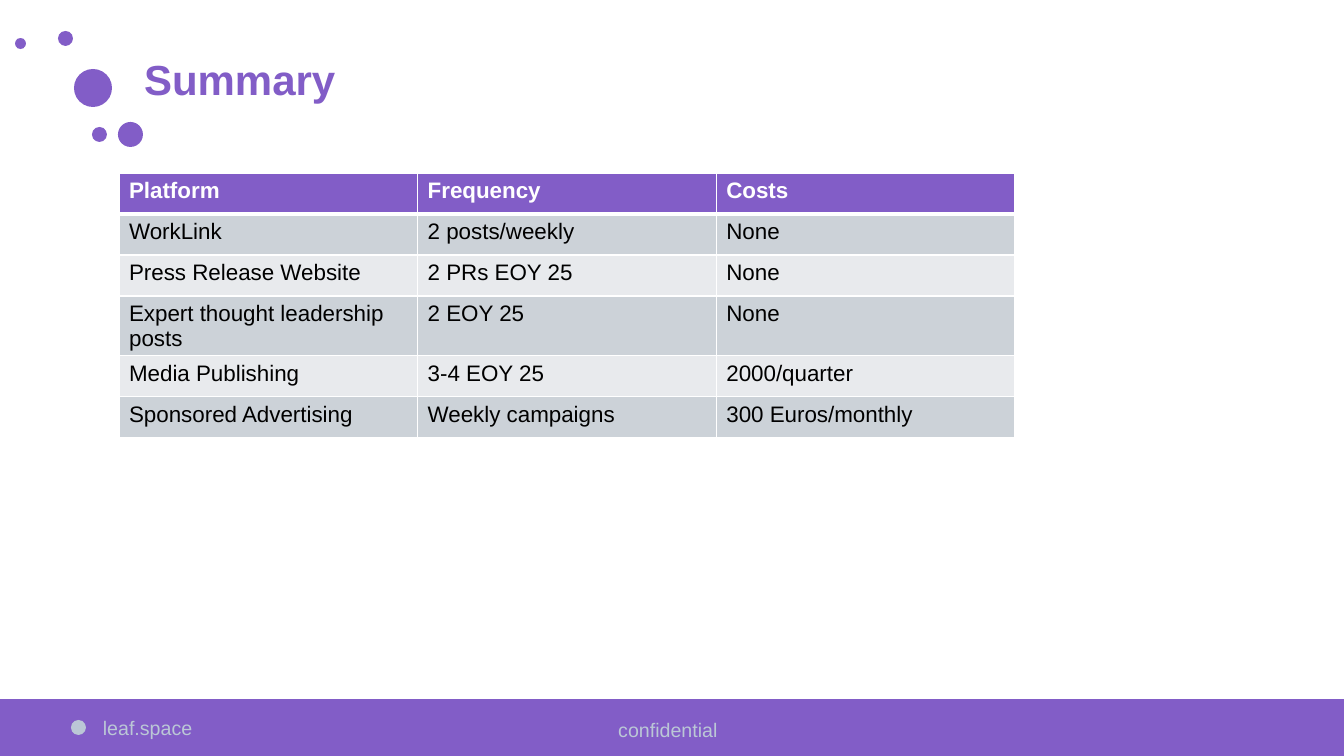
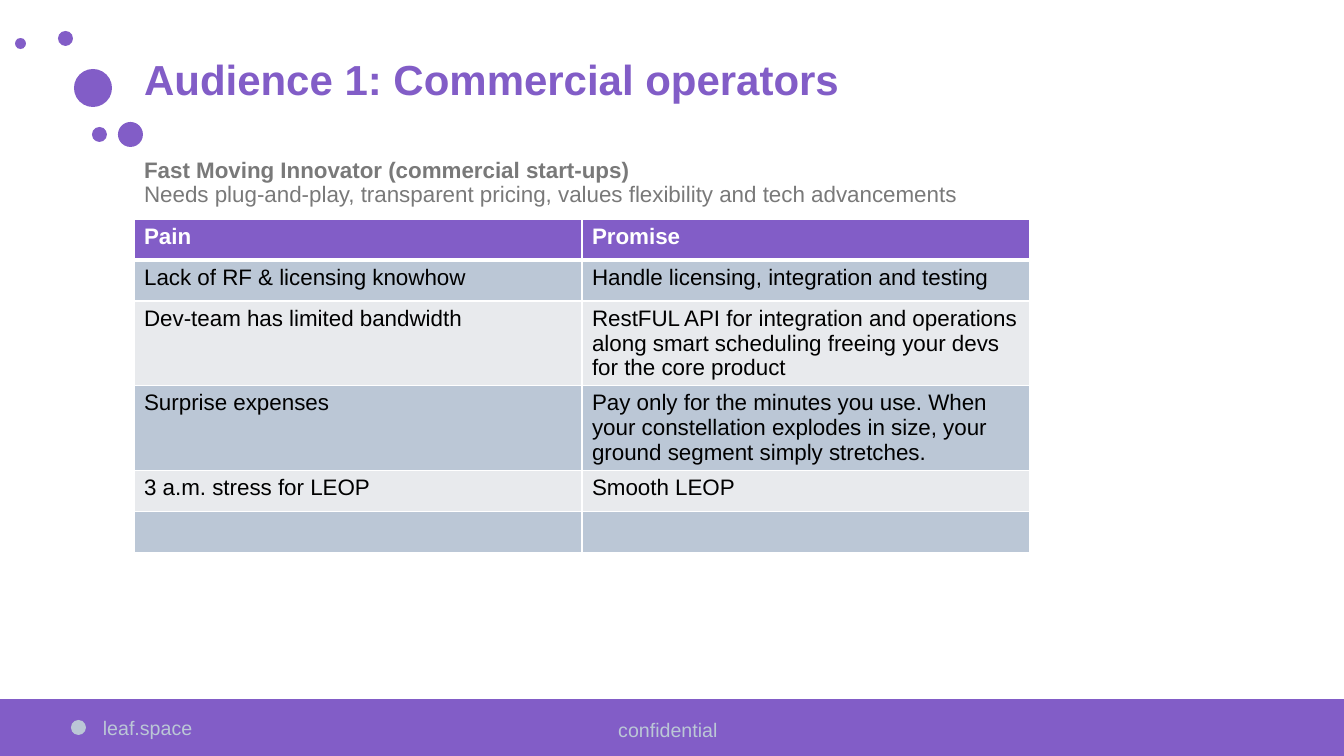
from pptx import Presentation
from pptx.dml.color import RGBColor
from pptx.enum.shapes import MSO_SHAPE
from pptx.enum.text import MSO_ANCHOR, MSO_AUTO_SIZE, PP_ALIGN
from pptx.oxml import parse_xml
from pptx.oxml.ns import nsdecls
from pptx.util import Pt

SLIDE_WIDTH, SLIDE_HEIGHT = 1344, 756
EMU_PER_PX = 12192000 / SLIDE_WIDTH
FONT = "Arial"
PURPLE, MIST, GREY = "825DC7", "BBC7D6", "797979"
SILVER, PALE = "CCD2D8", "E8EAED"
WHITE, BLACK = "FFFFFF", "000000"
TITLE_ONLY, TITLE_AND_BODY = 5, 1

HEADER_DOTS = [(92, 127, 15), (118, 122, 25), (74, 69, 38), (58, 31, 15), (15, 38, 11)]
TABLE_WIDTH, ROW_HEIGHT = 896, 41

PLATFORMS = [
    ("Platform", "Frequency", "Costs"),
    ("WorkLink", "2 posts/weekly", "None"),
    ("Press Release Website", "2 PRs EOY 25", "None"),
    ("Expert thought leadership posts", "2 EOY 25", "None"),
    ("Media Publishing", "3-4 EOY 25", "2000/quarter"),
    ("Sponsored Advertising", "Weekly campaigns", "300 Euros/monthly"),
]
PROMISES = [
    ("Pain", "Promise"),
    ("Lack of RF & licensing knowhow", "Handle licensing, integration and testing"),
    ("Dev-team has limited bandwidth",
     "RestFUL API for integration and operations along smart scheduling "
     "freeing your devs for the core product"),
    ("Surprise expenses",
     "Pay only for the minutes you use. When your constellation explodes in size, "
     "your ground segment simply stretches."),
    ("3 a.m. stress for LEOP", "Smooth LEOP"),
    ("", ""),
]


def px(*lengths):
    return [round(length * EMU_PER_PX) for length in lengths]


def rgb(colour):
    return RGBColor.from_string(colour)


def set_font(paragraph, size, colour, bold=False):
    font = paragraph.font
    font.name, font.size, font.bold = FONT, Pt(size), bold
    font.color.rgb = rgb(colour)


def place(shape, left, top, width, height):
    shape.left, shape.top, shape.width, shape.height = px(left, top, width, height)


def add_filled(slide, kind, box, colour, line_width=0):
    shape = slide.shapes.add_shape(kind, *px(*box))
    shape.shadow.inherit = False
    shape.fill.solid()
    shape.fill.fore_color.rgb = rgb(colour)
    if line_width:
        shape.line.color.rgb = rgb(colour)
        shape.line.width = Pt(line_width)
    else:
        shape.line.fill.background()
    return shape


def add_dot(slide, left, top, diameter, colour):
    return add_filled(slide, MSO_SHAPE.OVAL, (left, top, diameter, diameter), colour)


def add_footer_text(slide, left, top, text, alignment):
    box = slide.shapes.add_textbox(*px(left, top, 204, 34))
    box.text_frame.word_wrap = True
    paragraph = box.text_frame.paragraphs[0]
    paragraph.text = text
    paragraph.alignment = alignment
    set_font(paragraph, 14, MIST)
    return box


def fill_master(master, slide):
    """Draw the shared dots and footer through a slide and move them to the master."""
    decorations = [add_dot(slide, *dot, PURPLE) for dot in HEADER_DOTS]
    decorations += [
        add_filled(slide, MSO_SHAPE.RECTANGLE, (0, 700, SLIDE_WIDTH, 56), PURPLE, 1.5),
        add_footer_text(slide, 93, 711, "leaf.space", PP_ALIGN.LEFT),
        add_footer_text(slide, 566, 713, "confidential", PP_ALIGN.CENTER),
        add_dot(slide, 71, 720, 15, MIST),
    ]
    for shape_id, decoration in enumerate(decorations, 100):
        decoration.element.nvSpPr.cNvPr.id = shape_id
        master.shapes.element.append(decoration.element)


def add_titled_slide(prs, layout, title_text):
    slide = prs.slides.add_slide(prs.slide_layouts[layout])
    title = slide.shapes.title
    place(title, 134, 56, 1159, 52)
    frame = title.text_frame
    frame.auto_size = MSO_AUTO_SIZE.NONE
    frame.vertical_anchor = MSO_ANCHOR.MIDDLE
    paragraph = frame.paragraphs[0]
    paragraph.text = title_text
    paragraph.alignment = PP_ALIGN.LEFT
    paragraph.line_spacing = 0.9
    set_font(paragraph, 30, PURPLE, bold=True)
    return slide


def fill_body(slide, heading, description):
    body = slide.placeholders[1]
    place(body, 134, 154, 1137, 461)
    body.text_frame.auto_size = MSO_AUTO_SIZE.NONE
    paragraph = body.text_frame.paragraphs[0]
    properties = paragraph._p.get_or_add_pPr()
    properties.set("marL", "0")
    properties.set("indent", "0")
    properties.append(parse_xml(f"<a:buNone {nsdecls('a')}/>"))
    paragraph.line_spacing = 0.9
    paragraph.space_before = Pt(0)
    set_font(paragraph, 16, GREY)
    heading_run = paragraph.add_run()
    heading_run.text = heading
    heading_run.font.bold = True
    paragraph.add_line_break()
    paragraph.add_run().text = description


def set_borders(cell, top, bottom):
    properties = cell._tc.get_or_add_tcPr()
    for side, width in (("L", 1), ("R", 1), ("T", top), ("B", bottom)):
        properties.append(parse_xml(
            f'<a:ln{side} {nsdecls("a")} w="{Pt(width)}"><a:solidFill>'
            f'<a:srgbClr val="{WHITE}"/></a:solidFill></a:ln{side}>'))


def add_banded_table(slide, left, top, rows, band_colour):
    table = slide.shapes.add_table(
        len(rows), len(rows[0]), *px(left, top, TABLE_WIDTH, ROW_HEIGHT * len(rows))).table
    table.horz_banding = False
    for row_index, row in enumerate(rows):
        is_header = row_index == 0
        fill = PURPLE if is_header else band_colour if row_index % 2 else PALE
        for column_index, text in enumerate(row):
            cell = table.cell(row_index, column_index)
            set_borders(cell, 3 if row_index == 1 else 1, 3 if is_header else 1)
            cell.fill.solid()
            cell.fill.fore_color.rgb = rgb(fill)
            paragraph = cell.text_frame.paragraphs[0]
            if text:
                paragraph.text = text
            set_font(paragraph, 16, WHITE if is_header else BLACK, is_header)


def main():
    prs = Presentation()
    prs.slide_width, prs.slide_height = px(SLIDE_WIDTH, SLIDE_HEIGHT)

    summary = add_titled_slide(prs, TITLE_ONLY, "Summary")
    fill_master(prs.slide_master, summary)
    add_banded_table(summary, 119, 173, PLATFORMS, SILVER)

    audience = add_titled_slide(prs, TITLE_AND_BODY, "Audience 1: Commercial operators")
    fill_body(audience, "Fast Moving Innovator (commercial start-ups)",
              "Needs plug-and-play, transparent pricing, values flexibility and tech advancements")
    add_banded_table(audience, 134, 219, PROMISES, MIST)

    prs.save("out.pptx")


if __name__ == "__main__":
    main()
